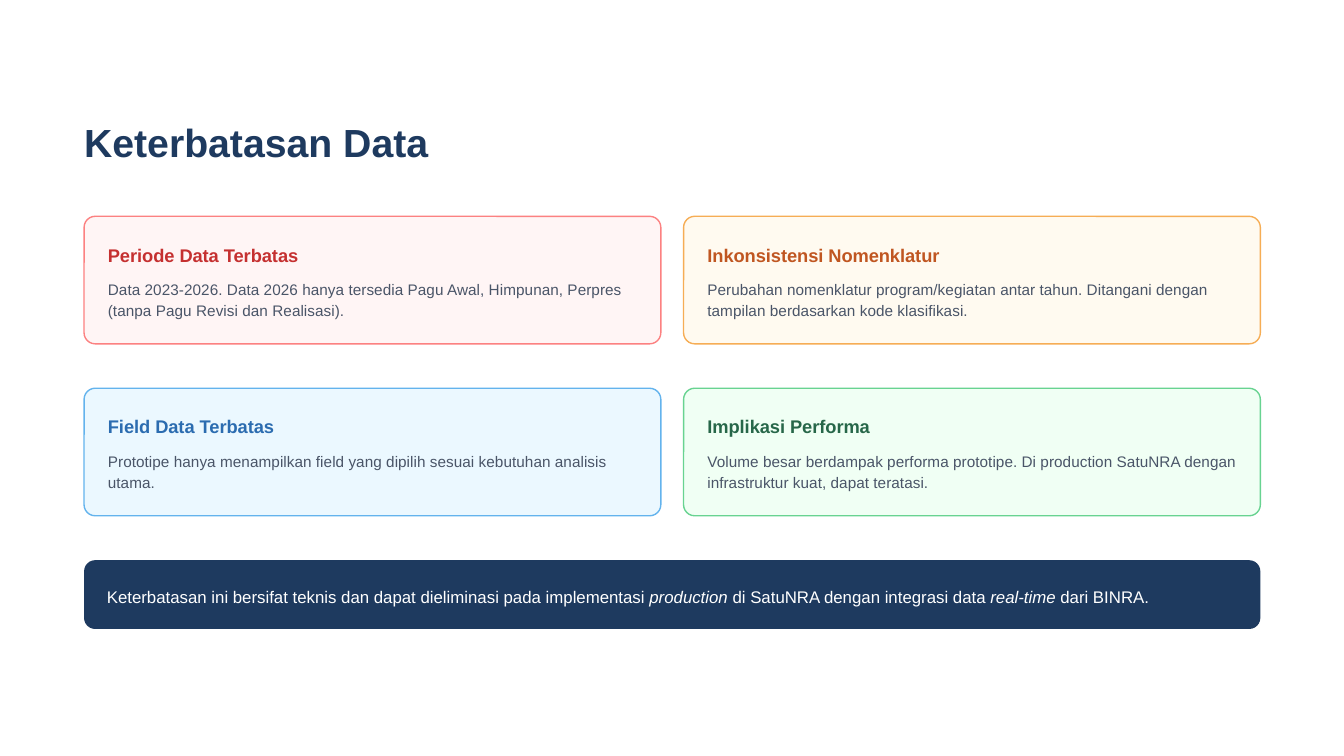
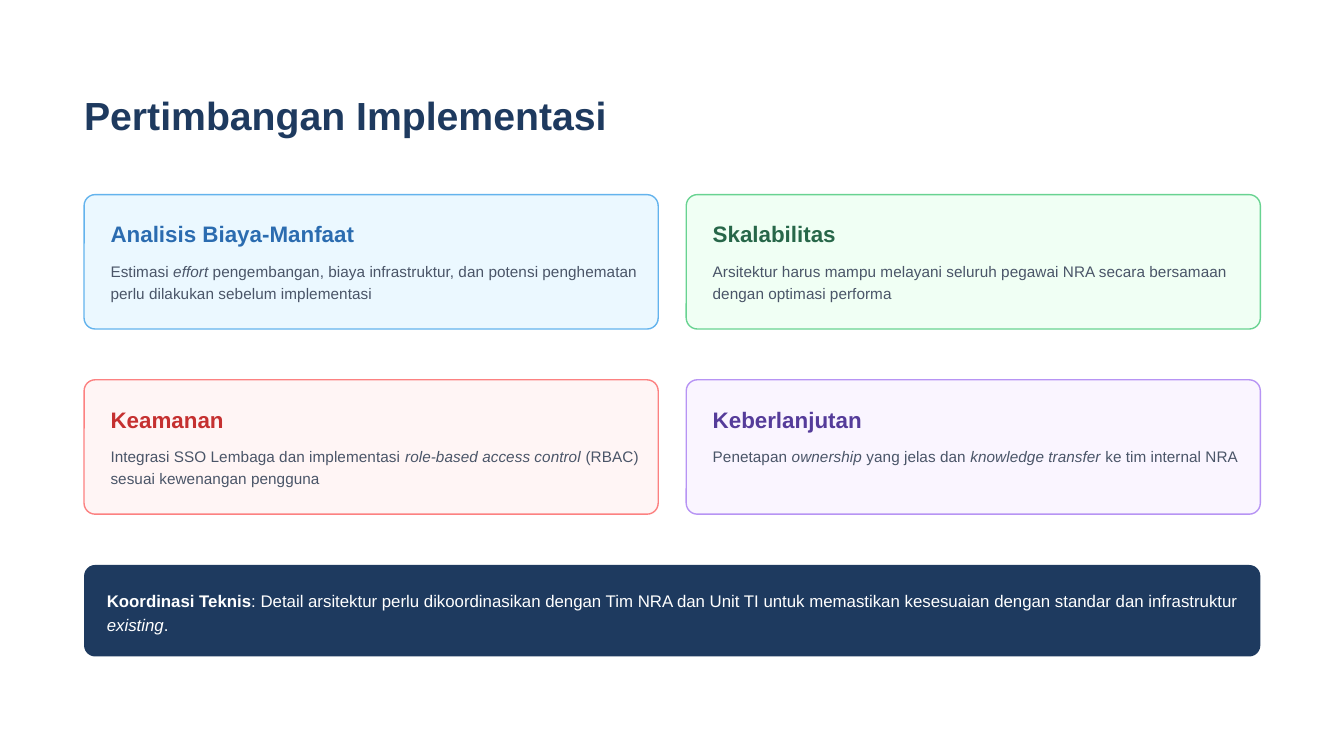
import pptx
import pptx.dml.color
import pptx.enum.shapes
import pptx.enum.text
import pptx.util

Cm = pptx.util.Cm
Pt = pptx.util.Pt

COLORS = {
    "navy": "1E3A5F",
    "body": "4A5568",
    "white": "FFFFFF",
}
THEMES = {
    "red": {"fill": "FFF5F5", "line": "FC8181", "heading": "C53030"},
    "orange": {"fill": "FFFAF0", "line": "F6AD55", "heading": "C05621"},
    "blue": {"fill": "EBF8FF", "line": "63B3ED", "heading": "2B6CB0"},
    "green": {"fill": "F0FFF4", "line": "68D391", "heading": "276749"},
    "purple": {"fill": "FAF5FF", "line": "B794F4", "heading": "553C9A"},
}
FONT = "Arial"
MARGIN = 1.59
CONTENT_WIDTH = 22.23
CORNER_RADIUS = 0.21
BAR_PADDING = 0.43


def rgb(value):
    return pptx.dml.color.RGBColor.from_string(value)


def add_text(slide, box, content, *, size, color, leading, bold=False, after=0):
    label = slide.shapes.add_textbox(*map(Cm, box))
    frame = label.text_frame
    frame.word_wrap = True
    frame.margin_left = frame.margin_right = 0
    frame.margin_top = frame.margin_bottom = 0
    frame.vertical_anchor = pptx.enum.text.MSO_ANCHOR.TOP
    paragraph = frame.paragraphs[0]
    paragraph.line_spacing = Pt(leading)
    paragraph.space_after = Pt(after)
    pieces = [(content, "")] if isinstance(content, str) else content
    for text, style in pieces:
        run = paragraph.add_run()
        run.text = text
        run.font.name = FONT
        run.font.size = Pt(size)
        run.font.color.rgb = rgb(color)
        run.font.bold = bold or style == "bold"
        run.font.italic = style == "italic"


def add_panel(slide, box, fill, line=None):
    panel = slide.shapes.add_shape(
        pptx.enum.shapes.MSO_SHAPE.ROUNDED_RECTANGLE, *map(Cm, box))
    panel.adjustments[0] = CORNER_RADIUS / min(box[2:])
    panel.shadow.inherit = False
    panel.fill.solid()
    panel.fill.fore_color.rgb = rgb(fill)
    if line:
        panel.line.color.rgb = rgb(line)
        panel.line.width = Pt(0.75)
    else:
        panel.line.fill.background()


def add_title(slide, top, title, after):
    add_text(slide, (MARGIN, top, 11.35, 0.74), title, size=21,
             color=COLORS["navy"], leading=21, bold=True, after=after)


def add_card(slide, box, card, layout):
    left, top, width, height = box
    theme_name, heading, description = card
    theme = THEMES[theme_name]
    text_left = left + layout["pad_x"]
    text_width = layout["text_width"]
    add_panel(slide, box, theme["fill"], theme["line"])
    add_text(slide,
             (text_left, top + layout["pad_y"], text_width, layout["heading_height"]),
             heading, size=layout["heading_size"], color=theme["heading"],
             leading=layout["heading_leading"], bold=True, after=6)
    add_text(slide, (text_left, top + layout["body_offset"], text_width, 0.81),
             description, size=8.25, color=COLORS["body"], leading=11.6)


def add_card_grid(slide, top, cards, layout):
    width, height = layout["card_width"], layout["card_height"]
    column_pitch = CONTENT_WIDTH - width
    row_pitch = height + layout["row_gap"]
    for index, card in enumerate(cards):
        row, column = divmod(index, 2)
        box = (MARGIN + column * column_pitch, top + row * row_pitch, width, height)
        add_card(slide, box, card, layout)
    return top + len(cards) // 2 * row_pitch


def add_summary_bar(slide, box, summary):
    left, top, width, height = box
    add_panel(slide, box, COLORS["navy"])
    add_text(slide,
             (left + BAR_PADDING, top + BAR_PADDING,
              width - BAR_PADDING, height - 2 * BAR_PADDING),
             summary, size=9, color=COLORS["white"], leading=12.6)


def add_card_slide(deck, content, layout):
    slide = deck.slides.add_slide(deck.slide_layouts[6])
    slide.background.fill.solid()
    slide.background.fill.fore_color.rgb = rgb(COLORS["white"])
    add_title(slide, layout["title_top"], content["title"], layout["title_after"])
    bar_top = add_card_grid(slide, layout["grid_top"], content["cards"], layout)
    add_summary_bar(slide, (MARGIN, bar_top, CONTENT_WIDTH, layout["bar_height"]),
                    content["summary"])


LIMITATIONS_LAYOUT = {
    "title_top": 2.39, "title_after": 15, "grid_top": 4.09,
    "card_width": 10.9, "card_height": 2.41, "row_gap": 0.84,
    "pad_x": 0.45, "pad_y": 0.45, "text_width": 10.21, "body_offset": 1.14,
    "heading_height": 0.48, "heading_size": 9.75, "heading_leading": 13.7,
    "bar_height": 1.3,
}
LIMITATIONS = {
    "title": "Keterbatasan Data",
    "cards": [
        ("red", "Periode Data Terbatas",
         "Data 2023-2026. Data 2026 hanya tersedia Pagu Awal, Himpunan, Perpres "
         "(tanpa Pagu Revisi dan Realisasi)."),
        ("orange", "Inkonsistensi Nomenklatur",
         "Perubahan nomenklatur program/kegiatan antar tahun. Ditangani dengan "
         "tampilan berdasarkan kode klasifikasi."),
        ("blue", "Field Data Terbatas",
         "Prototipe hanya menampilkan field yang dipilih sesuai kebutuhan "
         "analisis utama."),
        ("green", "Implikasi Performa",
         "Volume besar berdampak performa prototipe. Di production SatuNRA "
         "dengan infrastruktur kuat, dapat teratasi."),
    ],
    "summary": [
        ("Keterbatasan ini bersifat teknis dan dapat dieliminasi pada implementasi ", ""),
        ("production", "italic"),
        (" di SatuNRA dengan integrasi data ", ""),
        ("real-time ", "italic"),
        ("dari BINRA.", ""),
    ],
}

CONSIDERATIONS_LAYOUT = {
    "title_top": 1.88, "title_after": 18, "grid_top": 3.68,
    "card_width": 10.85, "card_height": 2.54, "row_gap": 0.96,
    "pad_x": 0.5, "pad_y": 0.48, "text_width": 10.03, "body_offset": 1.22,
    "heading_height": 0.51, "heading_size": 12, "heading_leading": 14.7,
    "bar_height": 1.73,
}
CONSIDERATIONS = {
    "title": "Pertimbangan Implementasi",
    "cards": [
        ("blue", "Analisis Biaya-Manfaat", [
            ("Estimasi ", ""),
            ("effort", "italic"),
            (" pengembangan, biaya infrastruktur, dan potensi penghematan "
             "perlu dilakukan sebelum implementasi", ""),
        ]),
        ("green", "Skalabilitas",
         "Arsitektur harus mampu melayani seluruh pegawai NRA secara bersamaan "
         "dengan optimasi performa"),
        ("red", "Keamanan", [
            ("Integrasi SSO Lembaga dan implementasi ", ""),
            ("role-based access control ", "italic"),
            ("(RBAC) sesuai kewenangan pengguna", ""),
        ]),
        ("purple", "Keberlanjutan", [
            ("Penetapan ", ""),
            ("ownership", "italic"),
            (" yang jelas dan ", ""),
            ("knowledge transfer ", "italic"),
            ("ke tim internal NRA", ""),
        ]),
    ],
    "summary": [
        ("Koordinasi Teknis", "bold"),
        (": Detail arsitektur perlu dikoordinasikan dengan Tim NRA dan Unit TI untuk "
         "memastikan kesesuaian dengan standar dan infrastruktur ", ""),
        ("existing", "italic"),
        (".", ""),
    ],
}


def main():
    deck = pptx.Presentation()
    deck.slide_width = Cm(25.4)
    deck.slide_height = Cm(14.29)
    add_card_slide(deck, LIMITATIONS, LIMITATIONS_LAYOUT)
    add_card_slide(deck, CONSIDERATIONS, CONSIDERATIONS_LAYOUT)
    deck.save("out.pptx")


if __name__ == "__main__":
    main()
